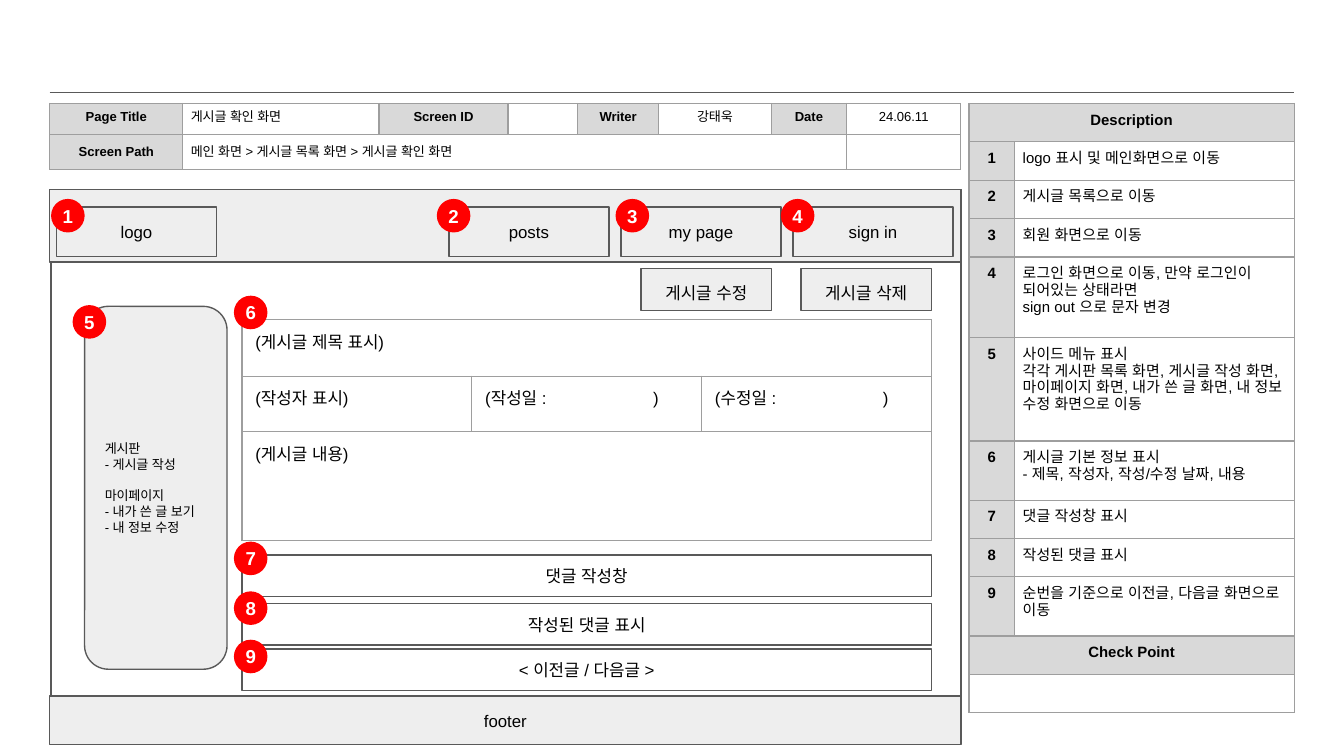
from dataclasses import dataclass

from lxml.etree import SubElement
from pptx import Presentation
from pptx.dml.color import RGBColor
from pptx.enum.lang import MSO_LANGUAGE_ID as Language
from pptx.enum.shapes import MSO_CONNECTOR as Connector, MSO_SHAPE as ShapeKind
from pptx.enum.text import MSO_ANCHOR as Anchor, PP_ALIGN as Align
from pptx.oxml.ns import qn
from pptx.slide import Slide
from pptx.text.text import TextFrame
from pptx.util import Inches, Pt

COLORS = {
    "text": "000000", "paper": "FFFFFF", "panel": "EEEEEE", "heading": "D9D9D9",
    "outline": "595959", "grid": "9E9E9E", "badge": "FF0000",
}
LINE_ROW = 2 / 7


@dataclass(frozen=True)
class TextStyle:
    size: float = 9
    color: str = "text"
    bold: bool = False
    align: Align = Align.CENTER
    line_spacing: float | None = None
    tab_stop: float | None = None


@dataclass(frozen=True)
class Box:
    left: float
    top: float
    width: float
    height: float
    text: str = ""
    fill: str = "panel"
    outline: str | None = "outline"
    kind: ShapeKind = ShapeKind.RECTANGLE
    anchor: Anchor = Anchor.MIDDLE
    inset: float = 0.1
    style: TextStyle = TextStyle()


@dataclass(frozen=True)
class Cell:
    text: str = ""
    fill: str | None = None
    bold: bool = False
    align: Align = Align.LEFT
    line_spacing: float | None = None


@dataclass(frozen=True)
class Grid:
    left: float
    top: float
    widths: list[float]
    heights: list[float]
    rows: list[list[Cell]]
    merges: list[tuple[int, int, int, int]]
    size: float
    inset: float
    anchor: Anchor = Anchor.TOP
    tab_stop: float | None = None


def rgb(name: str) -> RGBColor:
    return RGBColor.from_string(COLORS[name])


def write_text(frame: TextFrame, text: str, style: TextStyle) -> None:
    frame.text = text
    for paragraph in frame.paragraphs:
        paragraph.alignment = style.align
        if style.line_spacing:
            paragraph.line_spacing = style.line_spacing
        if style.tab_stop and "\t" in text:
            tabs = SubElement(paragraph._p.get_or_add_pPr(), qn("a:tabLst"))
            SubElement(tabs, qn("a:tab"), pos=str(Inches(style.tab_stop)), algn="l")
        font = paragraph.font
        font.name, font.size, font.bold = "Arial", Pt(style.size), style.bold
        font.language_id = Language.KOREAN
        font.color.rgb = rgb(style.color)
        for script in ("a:ea", "a:cs"):
            SubElement(font._rPr, qn(script), typeface="Arial")


def draw_box(slide: Slide, box: Box) -> TextFrame:
    shape = slide.shapes.add_shape(
        box.kind, Inches(box.left), Inches(box.top), Inches(box.width), Inches(box.height))
    shape.shadow.inherit = False
    shape.fill.solid()
    shape.fill.fore_color.rgb = rgb(box.fill)
    if box.outline:
        shape.line.color.rgb = rgb(box.outline)
        shape.line.width = Pt(0.75)
    else:
        shape.line.fill.background()
    frame = shape.text_frame
    frame.word_wrap = True
    frame.vertical_anchor = box.anchor
    frame.margin_left = frame.margin_right = Inches(box.inset)
    frame.margin_top = frame.margin_bottom = Inches(box.inset)
    write_text(frame, box.text, box.style)
    return frame


def draw_grid(slide: Slide, grid: Grid) -> None:
    table = slide.shapes.add_table(
        len(grid.heights), len(grid.widths), Inches(grid.left), Inches(grid.top),
        Inches(sum(grid.widths)), Inches(sum(grid.heights))).table
    table.first_row = table.horz_banding = False
    for column, width in zip(table.columns, grid.widths):
        column.width = Inches(width)
    for row, height in zip(table.rows, grid.heights):
        row.height = Inches(height)
    for row_index, row in enumerate(grid.rows):
        padded = row + [Cell()] * (len(grid.widths) - len(row))
        for column_index, content in enumerate(padded):
            cell = table.cell(row_index, column_index)
            cell.margin_left = cell.margin_right = Inches(grid.inset)
            cell.margin_top = cell.margin_bottom = Inches(grid.inset)
            cell.vertical_anchor = grid.anchor
            write_text(cell.text_frame, content.text, TextStyle(
                grid.size, bold=content.bold, align=content.align,
                line_spacing=content.line_spacing, tab_stop=grid.tab_stop))
            properties = cell._tc.get_or_add_tcPr()
            for side in ("lnL", "lnR", "lnT", "lnB"):
                border = SubElement(properties, qn(f"a:{side}"), w=str(Pt(0.75)))
                fill = SubElement(border, qn("a:solidFill"))
                SubElement(fill, qn("a:srgbClr"), val=COLORS["grid"])
            if content.fill:
                cell.fill.solid()
                cell.fill.fore_color.rgb = rgb(content.fill)
            else:
                cell.fill.background()
    for top, left, bottom, right in grid.merges:
        table.cell(top, left).merge(table.cell(bottom, right))


def heading(text: str, line_spacing: float | None = None) -> Cell:
    return Cell(text, "heading", True, Align.CENTER, line_spacing)


def value(text: str = "", align: Align = Align.CENTER) -> Cell:
    return Cell(text, align=align, line_spacing=0.5)


DESCRIPTIONS = [
    ("logo 표시 및 메인화면으로 이동", LINE_ROW),
    ("게시글 목록으로 이동", LINE_ROW),
    ("회원 화면으로 이동", LINE_ROW),
    ("로그인 화면으로 이동, 만약 로그인이 되어있는 상태라면\nsign out 으로 문자 변경", 0.6),
    ("사이드 메뉴 표시\n각각 게시판 목록 화면, 게시글 작성 화면, 마이페이지 화면, "
     "내가 쓴 글 화면, 내 정보 수정 화면으로 이동", 0.77),
    ("게시글 기본 정보 표시\n- 제목, 작성자, 작성/수정 날짜, 내용", 0.44),
    ("댓글 작성창 표시", LINE_ROW),
    ("작성된 댓글 표시", LINE_ROW),
    ("순번을 기준으로 이전글, 다음글 화면으로 이동", 0.44),
]
DESCRIPTION_GRID = Grid(
    7.21, 0.77, [0.34, 2.08],
    [LINE_ROW, *(height for _, height in DESCRIPTIONS), LINE_ROW, LINE_ROW],
    [[heading("Description")],
     *([heading(str(number)), Cell(text)]
       for number, (text, _) in enumerate(DESCRIPTIONS, 1)),
     [heading("Check Point")], [Cell(fill="paper")]],
    [(row, 0, row, 1) for row in (0, 10, 11)], 8, 0.06)
POST_GRID = Grid(
    1.8, 2.38, [1.71] * 3, [0.42, 0.41, 0.4, 0.41],
    [[Cell("(게시글 제목 표시)")],
     [Cell("(작성자 표시)"), Cell("(작성일 :\t)"), Cell("(수정일 :\t)")],
     [Cell("(게시글 내용)")], [Cell()]],
    [(0, 0, 0, 2), (2, 0, 3, 2)], 9, 0.1, tab_stop=1.25)
PAGE_GRID = Grid(
    0.37, 0.77, [0.99, 1.46, 0.96, 0.52, 0.6, 0.84, 0.56, 0.85], [0.23, 0.26],
    [[heading("Page Title", 0.5), value("게시글 확인 화면", Align.LEFT),
      heading("Screen ID", 0.5), value(), heading("Writer", 0.5), value("강태욱"),
      heading("Date", 0.5), value("24.06.11")],
     [heading("Screen Path"), Cell("메인 화면 > 게시글 목록 화면 > 게시글 확인 화면")]],
    [(1, 1, 1, 6)], 7, 0.06, Anchor.MIDDLE)

BOXES = [
    Box(0.38, 1.41, 6.77, 4.12, fill="paper"),
    *(Box(1.8, top, 5.13, 0.31, text, "paper") for top, text in
      [(4.13, "댓글 작성창"), (4.49, "작성된 댓글 표시"), (4.83, "< 이전글 / 다음글 >")]),
    *(Box(left, 2, 0.97, 0.31, text, anchor=Anchor.TOP) for left, text in
      [(5.96, "게시글 삭제"), (4.77, "게시글 수정")]),
    Box(0.37, 1.41, 6.78, 0.54),
    *(Box(left, 1.54, 1.19, 0.37, text) for left, text in
      [(0.42, "logo"), (3.34, "posts"), (4.62, "my page"), (5.9, "sign in")]),
    Box(0.37, 5.18, 6.78, 0.36, "footer"),
]
SIDE_MENU = Box(
    0.63, 2.28, 1.06, 2.7,
    "게시판\n- 게시글 작성\n마이페이지\n- 내가 쓴 글 보기\n- 내 정보 수정",
    kind=ShapeKind.ROUNDED_RECTANGLE, style=TextStyle(7, align=Align.LEFT))
BADGE_POSITIONS = [
    (0.38, 1.48), (3.25, 1.48), (4.58, 1.48), (5.81, 1.48), (0.54, 2.27),
    (1.74, 2.2), (1.74, 4.03), (1.74, 4.4), (1.74, 4.76),
]


def main() -> None:
    """Build the wireframe specification slide for the post view screen."""
    presentation = Presentation()
    presentation.slide_width = Inches(10)
    presentation.slide_height = Inches(10 * 9 / 16)
    slide = presentation.slides.add_slide(presentation.slide_layouts[6])
    rule = slide.shapes.add_connector(
        Connector.STRAIGHT, Inches(0.37), Inches(0.69), Inches(9.63), Inches(0.69))
    rule.line.color.rgb = rgb("outline")
    rule.line.width = Pt(0.75)
    SubElement(rule._element.spPr, qn("a:effectLst"))
    draw_grid(slide, DESCRIPTION_GRID)
    for box in BOXES:
        draw_box(slide, box)
    draw_grid(slide, POST_GRID)
    draw_grid(slide, PAGE_GRID)
    menu = draw_box(slide, SIDE_MENU)
    menu.paragraphs[2].space_before = Pt(8.4)
    for number, (left, top) in enumerate(BADGE_POSITIONS, 1):
        draw_box(slide, Box(left, top, 0.25, 0.25, str(number), "badge", None,
                            ShapeKind.OVAL, inset=0, style=TextStyle(10, "paper", True)))
    presentation.save("out.pptx")


if __name__ == "__main__":
    main()
